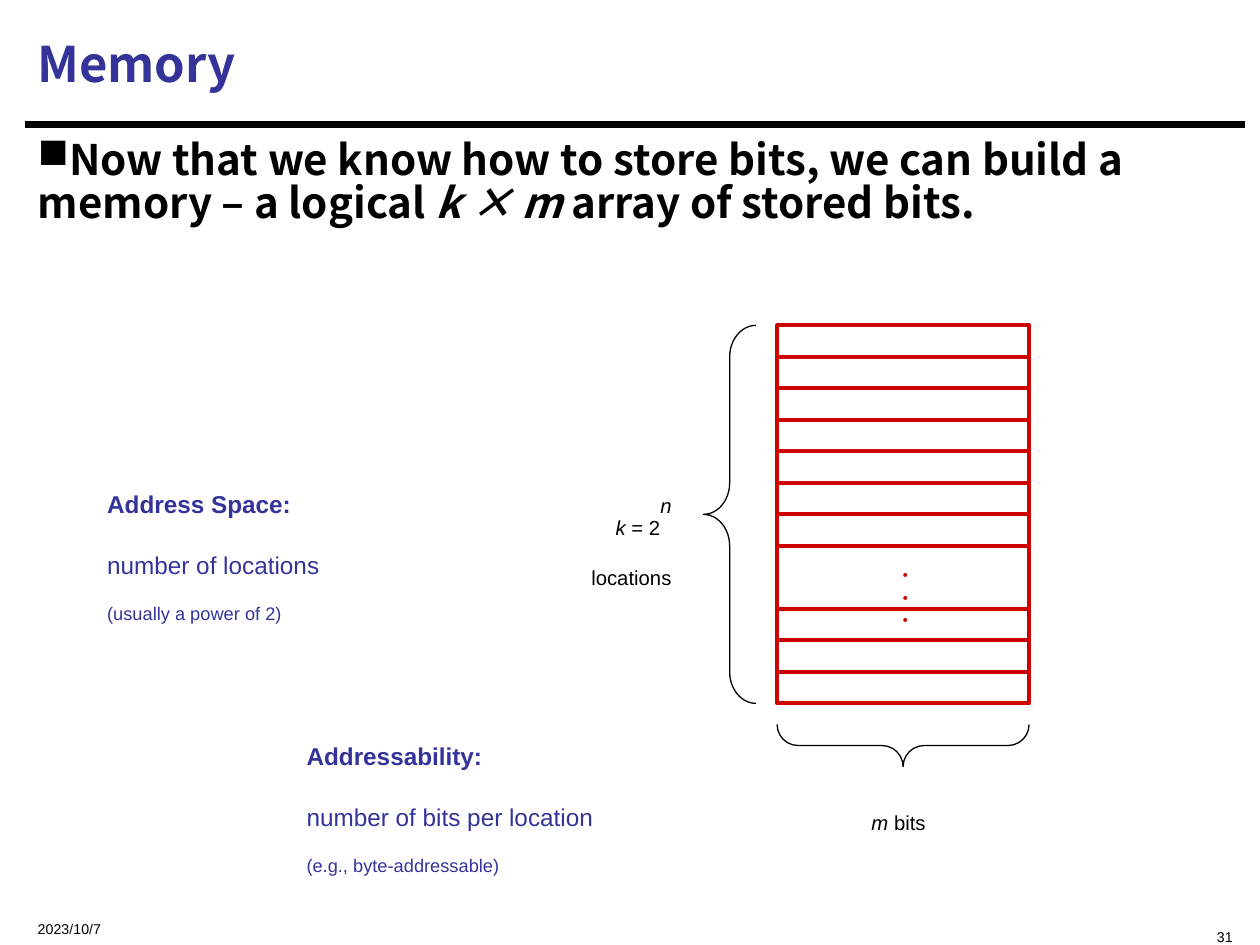
from lxml.etree import SubElement
from pptx import Presentation
from pptx.dml.color import RGBColor
from pptx.enum.shapes import MSO_CONNECTOR as CONN, MSO_SHAPE as SHAPE
from pptx.enum.text import MSO_ANCHOR as ANCHOR, PP_ALIGN as ALIGN
from pptx.oxml.ns import qn
from pptx.util import Cm, Pt

BLACK = RGBColor(0x00, 0x00, 0x00)
BLUE = RGBColor(0x33, 0x33, 0x99)
RED = RGBColor(0xCE, 0x00, 0x00)
HEADING_FONT = "Noto Sans CJK SC"
LOWERED, RAISED = -33, 30
MEM_LEFT, MEM_TOP, MEM_WIDTH, MEM_HEIGHT = 15.67, 6.56, 5.08, 7.62
MEM_ROWS, GAP_ROW = 12, 8


def add_run(p, text, size, color, font="Arial", bold=False, italic=False, base=LOWERED):
    """Add one formatted run, with its baseline shift in percent."""
    r = p.add_run()
    r.text = text
    f = r.font
    f.name, f.size, f.bold, f.italic = font, Pt(size), bold, italic
    f.color.rgb = color
    rpr = r._r.get_or_add_rPr()
    if base:
        rpr.set("baseline", str(base * 1000))
    SubElement(rpr, qn("a:ea")).set("typeface", font)


def add_box(s, left, top, width, height, anchor=ANCHOR.TOP, align=ALIGN.LEFT):
    """Add a wrapping text box and return its text frame."""
    tf = s.shapes.add_textbox(Cm(left), Cm(top), Cm(width), Cm(height)).text_frame
    tf.word_wrap = True
    tf.vertical_anchor = anchor
    tf.paragraphs[0].alignment = align
    return tf


def add_line(s, left, right, y, color, width):
    """Add a horizontal line without a shadow."""
    line = s.shapes.add_connector(CONN.STRAIGHT, Cm(left), Cm(y), Cm(right), Cm(y))
    line.line.color.rgb = color
    line.line.width = Pt(width)
    SubElement(line._element.spPr, qn("a:effectLst"))
    return line


def add_outline(s, kind, left, top, width, height, color, line_width):
    """Add an unfilled preset shape."""
    sp = s.shapes.add_shape(kind, Cm(left), Cm(top), Cm(width), Cm(height))
    sp.shadow.inherit = False
    sp.fill.background()
    sp.line.color.rgb = color
    sp.line.width = Pt(line_width)
    return sp


def add_brace(s, kind, left, top, width, height, curve, rotation=0):
    """Add a thin brace with the given curvature."""
    sp = add_outline(s, kind, left, top, width, height, BLACK, 0.75)
    sp.adjustments[0], sp.adjustments[1] = curve, 0.5
    sp.rotation = rotation


def add_definition(s, left, top, width, term, meaning, remark):
    """Add a term with its meaning and a smaller remark below."""
    tf = add_box(s, left, top, width, 3.05)
    add_run(tf.paragraphs[0], term, 24, BLUE, bold=True)
    p = tf.add_paragraph()
    add_run(p, meaning, 24, BLUE)
    p.add_line_break()
    add_run(p, remark, 18, BLUE)


def add_body(s):
    """Add the bulleted statement."""
    p = add_box(s, 0.51, 2.72, 24.56, 15.21).paragraphs[0]
    p.line_spacing = 0.85
    ppr = p._p.get_or_add_pPr()
    ppr.set("marL", "0")
    ppr.set("indent", "0")
    before = SubElement(ppr, qn("a:spcBef"))
    SubElement(before, qn("a:spcPct")).set("val", "20000")
    SubElement(ppr, qn("a:buChar")).set("char", "■")
    for text, italic in (
        ("Now that we know how to store bits, we can build a memory – a logical ", False),
        ("k × m", True),
        (" array of stored bits.", False),
    ):
        add_run(p, text, 24, BLACK, HEADING_FONT, True, italic, 0)


def add_memory(s):
    """Add the memory array with its row dividers and dots."""
    array = add_outline(s, SHAPE.RECTANGLE, MEM_LEFT, MEM_TOP, MEM_WIDTH, MEM_HEIGHT, RED, 2.25)
    for row in range(1, MEM_ROWS):
        if row == GAP_ROW:
            continue
        y = MEM_TOP + row * MEM_HEIGHT / MEM_ROWS
        line = add_line(s, MEM_LEFT, MEM_LEFT + MEM_WIDTH, y, RED, 2.25)
        if row * 2 == MEM_ROWS:
            line.begin_connect(array, 1)
            line.end_connect(array, 3)
    tf = add_box(s, 17.78, 11, 0.94, 1.4)
    for i in range(3):
        p = tf.add_paragraph() if i else tf.paragraphs[0]
        p.alignment = ALIGN.CENTER
        p.line_spacing = 0.5
        add_run(p, "•", 18, RED, "Cabin", True)


def add_dimensions(s):
    """Add the braces and their labels."""
    add_brace(s, SHAPE.LEFT_BRACE, 14.18, MEM_TOP, 1.06, MEM_HEIGHT, 0.6)
    add_brace(s, SHAPE.RIGHT_BRACE, 17.78, 12.49, 0.85, MEM_WIDTH, 0.5, 90)
    tf = add_box(s, 10.49, 9.73, 3.3, 1.96, align=ALIGN.RIGHT)
    p = tf.paragraphs[0]
    add_run(p, "k", 20, BLACK, italic=True)
    add_run(p, " = 2", 20, BLACK)
    add_run(p, "n", 20, BLACK, italic=True, base=RAISED)
    p = tf.add_paragraph()
    p.alignment = ALIGN.RIGHT
    add_run(p, "locations", 20, BLACK)
    p = add_box(s, 16.92, 15.67, 2.39, 1.09, align=ALIGN.CENTER).paragraphs[0]
    add_run(p, "m", 20, BLACK, italic=True)
    add_run(p, " bits", 20, BLACK)


def main():
    """Build the memory slide."""
    prs = Presentation()
    prs.slide_width, prs.slide_height = Cm(25.4), Cm(19.05)
    s = prs.slides.add_slide(prs.slide_layouts[6])
    add_line(s, 0.51, 25.1, 2.51, BLACK, 3.75)
    date = add_box(s, 0.51, 18.21, 6.35, 0.64, ANCHOR.MIDDLE)
    add_run(date.paragraphs[0], "2023/10/7", 14, BLACK)
    number = add_box(s, 17.48, 18.21, 7.62, 0.64, align=ALIGN.RIGHT)
    add_run(number.paragraphs[0], "31", 14, BLACK)
    title = add_box(s, 0.51, 0.2, 24.56, 2.13, ANCHOR.MIDDLE)
    add_run(title.paragraphs[0], "Memory", 28, BLUE, HEADING_FONT, True, base=0)
    add_body(s)
    add_memory(s)
    add_dimensions(s)
    add_definition(s, 1.91, 9.1, 7.9, "Address Space:", "number of locations", "(usually a power of 2)")
    add_definition(s, 5.93, 14.18, 10.49, "Addressability:", "number of bits per location", "(e.g., byte-addressable)")
    prs.save("out.pptx")


if __name__ == "__main__":
    main()
